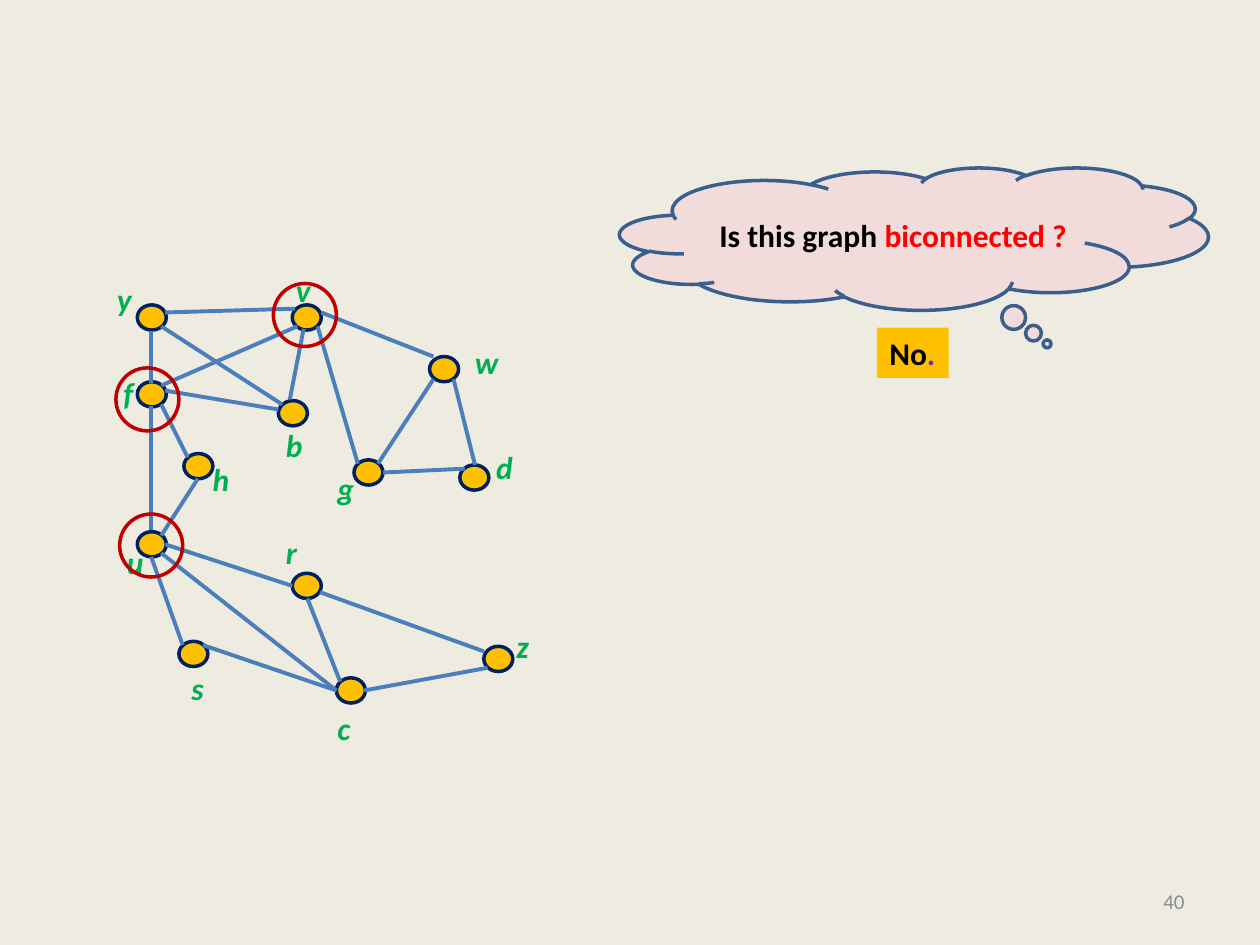
import pptx
import pptx.util
import pptx.dml.color
import pptx.enum.shapes
import pptx.enum.text
import pptx.oxml.ns
import lxml.etree

SHAPE = pptx.enum.shapes.MSO_SHAPE
ANCHOR = pptx.enum.text.MSO_ANCHOR
ALIGN = pptx.enum.text.PP_ALIGN

COLOURS = {
    "background": "EEECE1",
    "amber": "FFC000",
    "navy": "002060",
    "edge": "4B7EBC",
    "label": "00B050",
    "cloud": "F2DCDB",
    "cloud_line": "3A5F8C",
    "ring": "C00000",
    "black": "000000",
    "red": "FF0000",
    "purple": "7030A0",
    "grey": "8C8C8C",
}

VERTICES = {
    "y": ((109, 242), (83, 217, 32)),
    "f": ((109, 303), (88, 292, 28)),
    "h": ((146, 360), (159, 360, 34)),
    "u": ((109, 422), (91, 426, 34)),
    "b": ((221, 318), (217, 333, 34)),
    "r": ((232, 455), (217, 418, 29)),
    "s": ((142, 509), (142, 526, 30)),
    "z": ((384, 513), (400, 493, 30)),
    "g": ((281, 365), (258, 367, 34)),
    "c": ((267, 538), (258, 558, 31)),
    "v": ((232, 242), (225, 210, 32)),
    "d": ((365, 369), (384, 351, 34)),
    "w": ((341, 283), (367, 267, 39)),
}

EDGES = {
    "u-r": (131, 432, 232, 465),
    "f-b": (131, 310, 221, 325),
    "y-v": (131, 248, 234, 245),
    "y-f": (120, 263, 120, 304),
    "s-u": (145, 512, 120, 442),
    "f-u": (120, 322, 120, 421),
    "v-w": (255, 248, 344, 283),
    "d-w": (377, 369, 360, 301),
    "c-z": (289, 548, 387, 530),
    "f-h": (128, 321, 149, 363),
    "r-c": (244, 475, 270, 541),
    "g-d": (304, 375, 369, 372),
    "g-w": (300, 368, 344, 301),
    "u-c": (128, 439, 267, 548),
    "v-b": (241, 261, 230, 317),
    "z-r": (384, 517, 254, 470),
    "y-b": (128, 259, 224, 321),
    "v-f": (236, 259, 128, 306),
    "v-g": (252, 259, 284, 368),
    "h-u": (157, 380, 128, 425),
    "s-c": (161, 512, 267, 548),
}

CUT_VERTEX_RINGS = [(217, 225), (92, 292), (95, 408)]


def rgb(name):
    return pptx.dml.color.RGBColor.from_string(COLOURS[name])


def px(*lengths):
    return [pptx.util.Emu(length * 9144) for length in lengths]


class GraphSlide:
    font = "Calibri"

    def __init__(self, slide):
        self.slide = slide
        slide.background.fill.solid()
        slide.background.fill.fore_color.rgb = rgb("background")

    def set_text(self, frame, runs, size=18, bold=True, italic=False,
                 align=None, anchor=ANCHOR.TOP, wrap=False):
        frame.word_wrap = wrap
        frame.vertical_anchor = anchor
        paragraph = frame.paragraphs[0]
        paragraph.alignment = align
        paragraph.font.name = self.font
        paragraph.font.size = pptx.util.Pt(size)
        paragraph.font.bold = bold
        paragraph.font.italic = italic
        for words, colour in runs:
            run = paragraph.add_run()
            run.text = words
            run.font.color.rgb = rgb(colour)

    def text(self, box, runs, fill=None, **style):
        textbox = self.slide.shapes.add_textbox(*px(*box))
        if fill:
            textbox.fill.solid()
            textbox.fill.fore_color.rgb = rgb(fill)
        self.set_text(textbox.text_frame, runs, **style)

    def shape(self, kind, box, line, fill=None):
        shape = self.slide.shapes.add_shape(kind, *px(*box))
        shape.shadow.inherit = False
        if fill:
            shape.fill.solid()
            shape.fill.fore_color.rgb = rgb(fill)
        else:
            shape.fill.background()
        shape.line.color.rgb = rgb(line)
        shape.line.width = pptx.util.Pt(2)
        return shape

    def edge(self, ends):
        edge = self.slide.shapes.add_connector(
            pptx.enum.shapes.MSO_CONNECTOR.STRAIGHT, *px(*ends))
        edge.line.color.rgb = rgb("edge")
        edge.line.width = pptx.util.Pt(2.25)
        lxml.etree.SubElement(edge._element.spPr, pptx.oxml.ns.qn("a:effectLst"))

    def thought(self, box, tail, runs):
        cloud = self.shape(SHAPE.CLOUD_CALLOUT, box, "cloud_line", "cloud")
        for index, offset in enumerate(tail):
            cloud.adjustments[index] = offset
        self.set_text(cloud.text_frame, runs, align=ALIGN.CENTER,
                      anchor=ANCHOR.MIDDLE, wrap=True)


def main():
    deck = pptx.Presentation()
    deck.slide_width, deck.slide_height = px(1000, 750)
    graph = GraphSlide(deck.slides.add_slide(deck.slide_layouts[6]))

    graph.text((696, 260, 57, 40), [("No", "black"), (".", "purple")], fill="amber")
    graph.text((717, 695, 233, 40), [("40", "grey")], size=12, bold=False,
               align=ALIGN.RIGHT, anchor=ANCHOR.MIDDLE, wrap=True)

    for corner, _ in VERTICES.values():
        graph.shape(SHAPE.OVAL, (*corner, 23, 20), "navy", "amber")
    for ends in EDGES.values():
        graph.edge(ends)
    for letter, (_, label) in VERTICES.items():
        graph.text((*label, 40), [(letter, "label")], italic=True)

    graph.thought((492, 133, 467, 113), (0.226, 0.739),
                  [("Is this graph ", "black"), ("biconnected ?", "red")])
    for corner in CUT_VERTEX_RINGS:
        graph.shape(SHAPE.OVAL, (*corner, 50, 50), "ring")

    deck.save("out.pptx")


if __name__ == "__main__":
    main()
